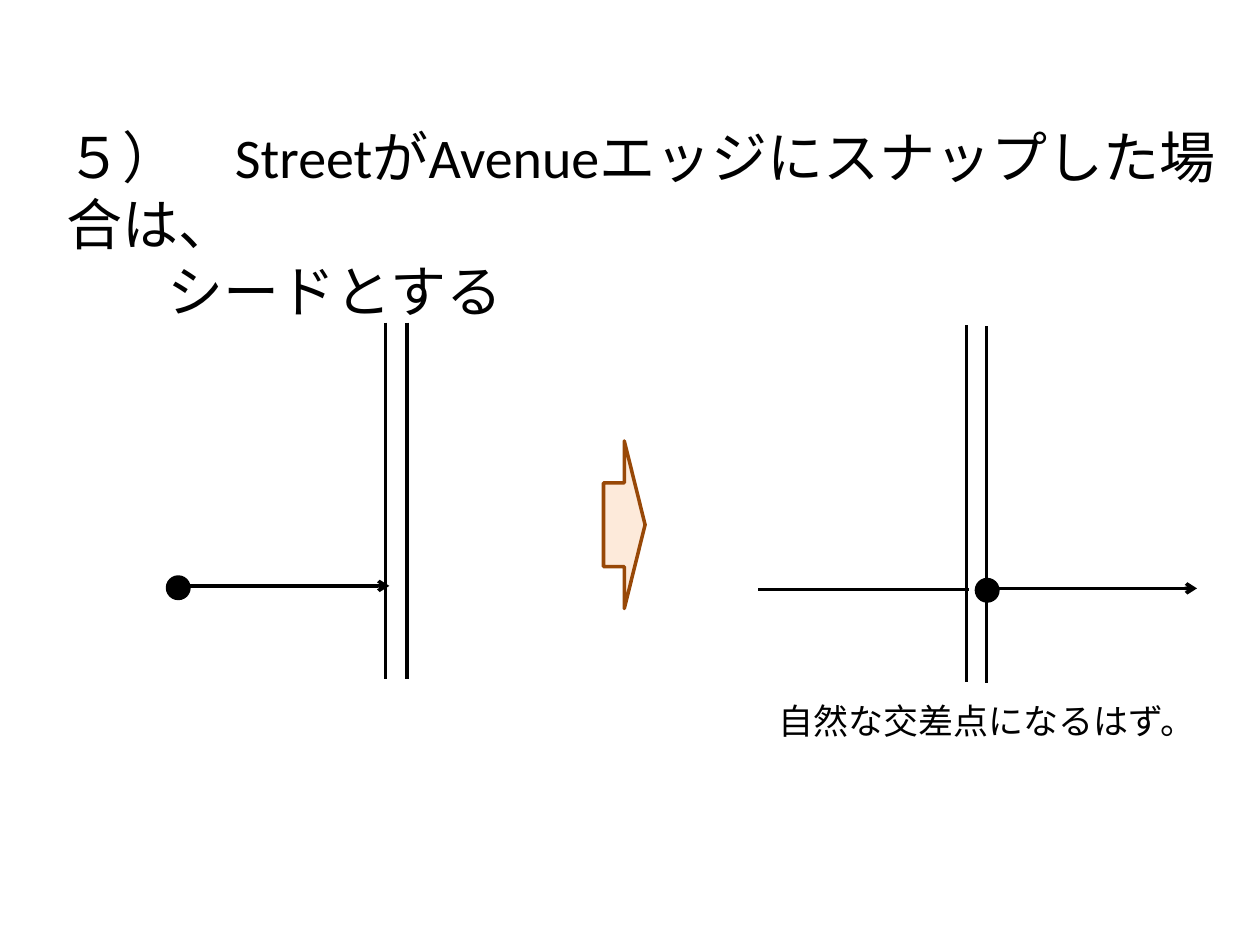
from pptx import Presentation
from pptx.dml.color import RGBColor
from pptx.enum.shapes import MSO_CONNECTOR, MSO_SHAPE
from pptx.enum.text import MSO_ANCHOR, MSO_AUTO_SIZE, PP_ALIGN
from pptx.oxml.ns import qn
from pptx.util import Inches, Pt
from lxml import etree

STRAIGHT = MSO_CONNECTOR.STRAIGHT
OVAL, RIGHT_ARROW = MSO_SHAPE.OVAL, MSO_SHAPE.RIGHT_ARROW
TOP, LEFT, NO_FIT = MSO_ANCHOR.TOP, PP_ALIGN.LEFT, MSO_AUTO_SIZE.NONE
COLORS = {"ink": "000000", "arrow_fill": "FDEADA", "arrow_line": "984807"}
TITLE_ONLY = 5
DOT = 0.17


def write_text(frame, lines, size, wrap=True, indents=None):
    frame.word_wrap = wrap
    frame.auto_size = NO_FIT
    frame.vertical_anchor = TOP
    for i, line in enumerate(lines):
        paragraph = frame.paragraphs[0] if i == 0 else frame.add_paragraph()
        run = paragraph.add_run()
        run.text = line
        run.font.name = "Calibri"
        run.font.size = Pt(size)
        run.font.color.rgb = RGBColor.from_string(COLORS["ink"])
        paragraph.alignment = LEFT
        if indents and indents[i]:
            paragraph._p.get_or_add_pPr().set("marL", str(Inches(indents[i])))


def add_line(x1, y1, x2, y2, arrow=False):
    line = slide.shapes.add_connector(
        STRAIGHT, Inches(x1), Inches(y1), Inches(x2), Inches(y2))
    line.line.color.rgb = RGBColor.from_string(COLORS["ink"])
    line.line.width = Pt(2)
    if arrow:
        etree.SubElement(line.line._get_or_add_ln(), qn("a:tailEnd"), type="arrow")
    etree.SubElement(line._element.spPr, qn("a:effectLst"))


prs = Presentation()
prs.slide_width, prs.slide_height = Inches(10), Inches(7.5)
slide = prs.slides.add_slide(prs.slide_layouts[TITLE_ONLY])

# Rule heading
heading = slide.shapes.title
heading.left, heading.top = Inches(0.43), Inches(0.92)
heading.width, heading.height = Inches(9.46), Inches(1.18)
write_text(heading.text_frame,
           ["５）\u3000StreetがAvenueエッジにスナップした場合は、", "シードとする"],
           size=32, indents=[0, 0.8])

# Avenue edges, before and after
for x, top in [(3.06, 2.56), (3.23, 2.56), (7.67, 2.58), (7.83, 2.59)]:
    add_line(x, top, x, top + 2.83)

# Street cut at the avenue
add_line(6.02, 4.68, 7.69, 4.68)

# Step arrow and seed points
for kind, x, y, w, h, fill, outline in [
    (RIGHT_ARROW, 4.79, 3.5, 0.33, 1.33, "arrow_fill", "arrow_line"),
    (OVAL, 1.33, 4.58, DOT, DOT, "ink", "ink"),
    (OVAL, 7.75, 4.6, DOT, DOT, "ink", "ink"),
]:
    mark = slide.shapes.add_shape(kind, Inches(x), Inches(y), Inches(w), Inches(h))
    mark.shadow.inherit = False
    mark.fill.solid()
    mark.fill.fore_color.rgb = RGBColor.from_string(COLORS[fill])
    mark.line.color.rgb = RGBColor.from_string(COLORS[outline])
    mark.line.width = Pt(2)

# Streets growing from the seeds
for x, y in [(1.42, 4.65), (7.83, 4.67)]:
    add_line(x, y, x + 1.67, y, arrow=True)

# Remark
remark = slide.shapes.add_textbox(Inches(6.08), Inches(5.5), Inches(3.36), Inches(0.44))
write_text(remark.text_frame, ["自然な交差点になるはず。"], size=20, wrap=False)

prs.save("out.pptx")
